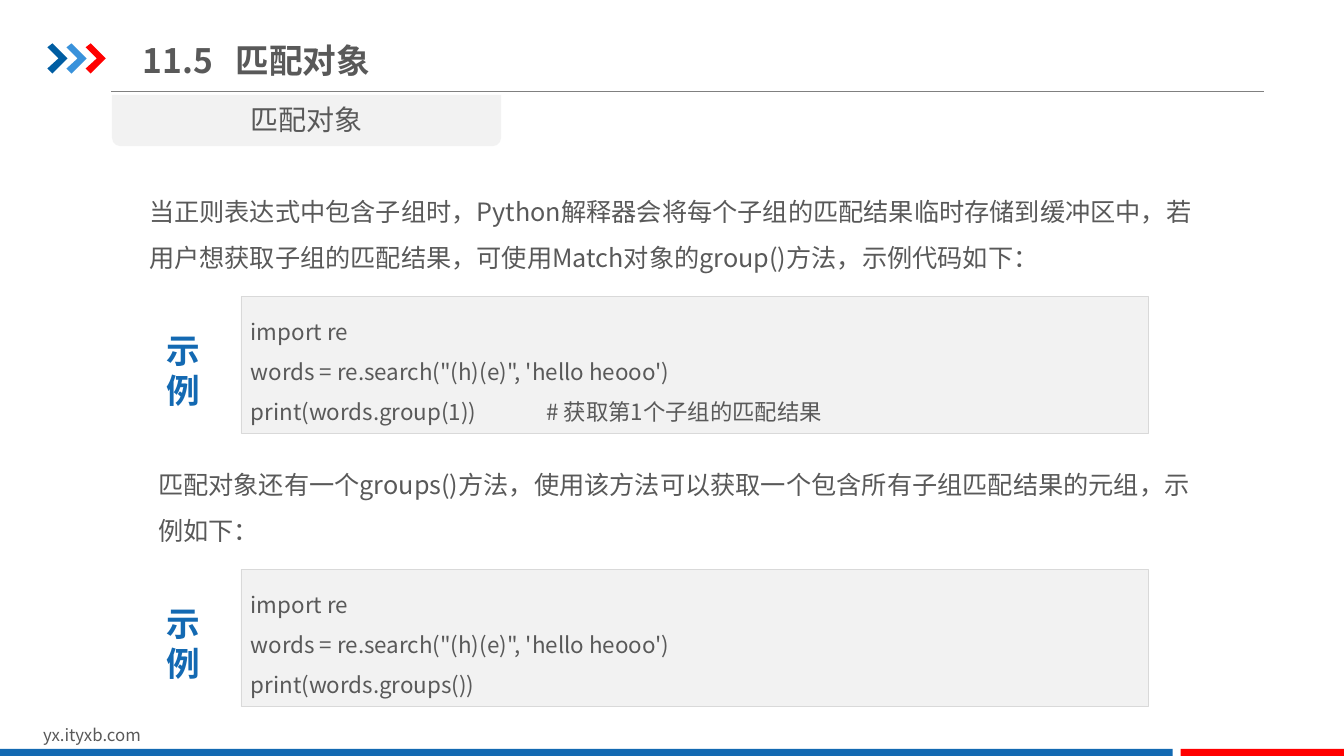
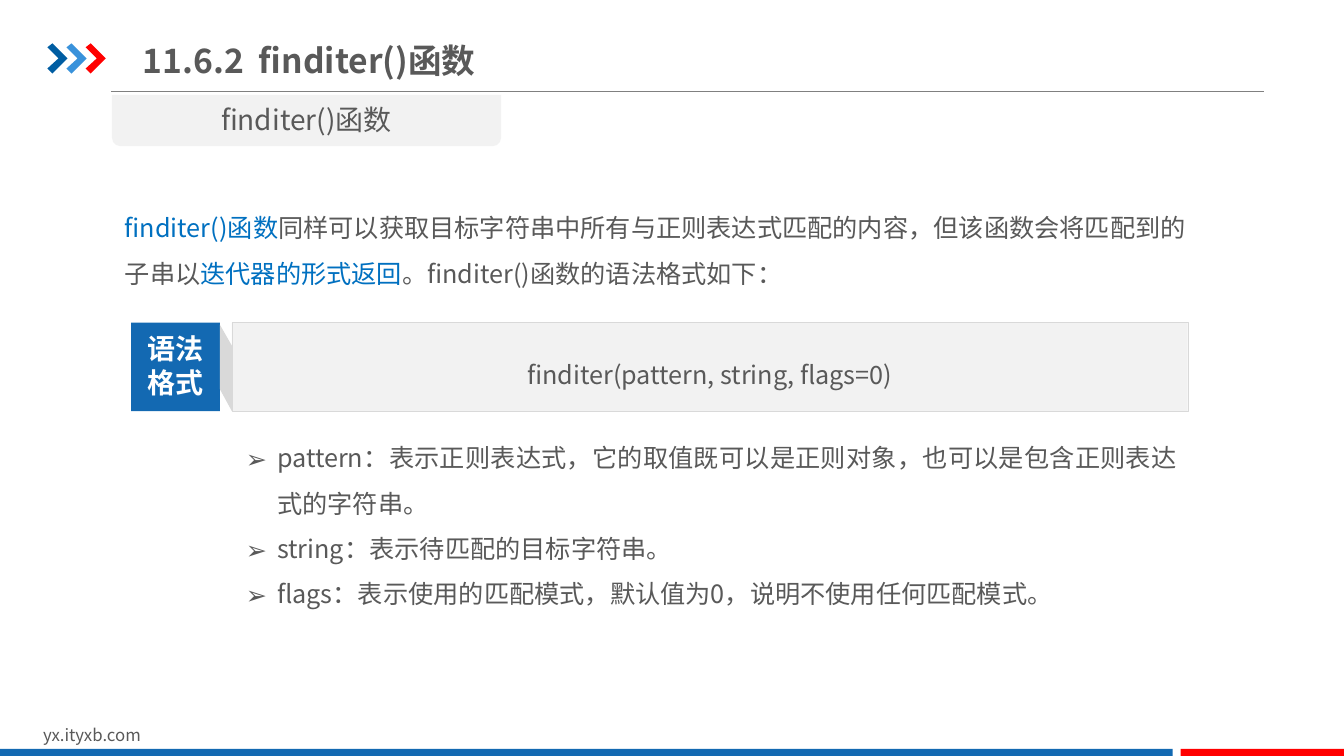
from lxml import etree
from pptx import Presentation
from pptx import util as u
from pptx.dml.color import RGBColor
from pptx.enum import shapes, text
from pptx.oxml import ns

FONT = "Noto Sans CJK SC"
BLUE = RGBColor(0x13, 0x69, 0xB2)
DARK_BLUE = RGBColor(0x00, 0x5D, 0xA2)
LIGHT_BLUE = RGBColor(0x39, 0x92, 0xDB)
ACCENT = RGBColor(0x00, 0x70, 0xC0)
RED = RGBColor(0xFF, 0x00, 0x00)
GREY = RGBColor(0x59, 0x59, 0x59)
RULE = RGBColor(0x80, 0x80, 0x80)
EDGE = RGBColor(0xD9, 0xD9, 0xD9)
PALE = RGBColor(0xF2, 0xF2, 0xF2)
WHITE = RGBColor(0xFF, 0xFF, 0xFF)

CENTER = text.PP_ALIGN.CENTER
MIDDLE = text.MSO_ANCHOR.MIDDLE
SHAPE = shapes.MSO_SHAPE


def add_element(parent, tag, **attributes):
    return etree.SubElement(parent, ns.qn(tag), attributes)


def style_para(para, size, color=GREY, bold=False, align=text.PP_ALIGN.LEFT,
               spacing=None, tab=None, bullet=None):
    para.alignment = align
    para.line_spacing = spacing
    properties = para._p.get_or_add_pPr()
    if bullet:
        indent = u.Inches(0.31)
        properties.set("marL", str(indent))
        properties.set("indent", str(-indent))
        add_element(properties, "a:buFont", typeface=FONT)
        add_element(properties, "a:buChar", char=bullet)
    if tab:
        tabs = add_element(properties, "a:tabLst")
        add_element(tabs, "a:tab", pos=str(u.Inches(tab)), algn="l")
    font = para.font
    font.size = u.Pt(size)
    font.bold = bold
    font.color.rgb = color
    font.name = FONT
    add_element(properties.find(ns.qn("a:defRPr")), "a:ea", typeface=FONT)


def write(frame, lines, size, anchor=text.MSO_ANCHOR.TOP, **style):
    frame.word_wrap = True
    frame.vertical_anchor = anchor
    for index, line in enumerate(lines):
        para = frame.add_paragraph() if index else frame.paragraphs[0]
        style_para(para, size, **style)
        spans = [(line, None)] if isinstance(line, str) else line
        for words, color in spans:
            span = para.add_run()
            span.text = words
            if color is not None:
                span.font.color.rgb = color


def add_text(page, left, top, width, height, lines, size, **style):
    box = page.shapes.add_textbox(*map(u.Inches, (left, top, width, height)))
    write(box.text_frame, lines, size, **style)
    return box


def paint(shape, fill, edge=None):
    shape.shadow.inherit = False
    shape.fill.solid()
    shape.fill.fore_color.rgb = fill
    if edge is None:
        shape.line.fill.background()
    else:
        shape.line.color.rgb = edge
        shape.line.width = u.Pt(0.25)


def add_block(page, left, top, width, height, fill, edge=None, kind=SHAPE.RECTANGLE):
    block = page.shapes.add_shape(kind, *map(u.Inches, (left, top, width, height)))
    paint(block, fill, edge)
    return block


def add_outline(page, left, top, points, fill):
    places = [(u.Inches(left + x), u.Inches(top + y)) for x, y in points]
    builder = page.shapes.build_freeform(*places[0])
    builder.add_line_segments(places[1:], close=True)
    paint(builder.convert_to_shape(), fill)


def add_header(page, number, title, title_tab):
    chevron = [(0, 0.04), (0.05, 0), (0.2, 0.15), (0.05, 0.3), (0, 0.25), (0.11, 0.15)]
    for index, color in enumerate((DARK_BLUE, LIGHT_BLUE, RED)):
        add_outline(page, 0.47 + 0.19 * index, 0.43, chevron, color)
    rule = page.shapes.add_connector(
        shapes.MSO_CONNECTOR.STRAIGHT, *map(u.Inches, (1.1, 0.91, 12.54, 0.91)))
    rule.line.color.rgb = RULE
    rule.line.width = u.Pt(0.75)
    add_element(rule._element.spPr, "a:effectLst")
    add_text(page, 1.32, 0.29, 6.34, 0.61, [f"{number}\t{title}"], 24,
             bold=True, anchor=MIDDLE, tab=title_tab)


def add_topic(page, left, top, topic):
    tag = add_block(page, left, top, 3.86, 0.51, PALE, kind=SHAPE.ROUND_2_SAME_RECTANGLE)
    tag.rotation = 180
    add_text(page, left, top + 0.03, 3.86, 0.44, [topic], 20, align=CENTER)


def add_footer(page):
    add_text(page, 0.33, 7.14, 3.18, 0.3, ["yx.ityxb.com"], 12)
    add_block(page, 0, 7.43, 11.63, 0.09, BLUE)
    add_block(page, 11.71, 7.43, 1.63, 0.09, RED)


def add_page(deck, number, title, title_tab):
    page = deck.slides.add_slide(deck.slide_layouts[6])
    add_header(page, number, title, title_tab)
    add_topic(page, 1.11, 0.94, title)
    add_footer(page)
    return page


def add_example(page, left, top, code):
    panel = add_block(page, left + 0.84, top, 9, 1.36, PALE, EDGE)
    write(panel.text_frame, code, 16, anchor=MIDDLE, spacing=1.5, tab=2.93)
    add_text(page, left, top + 0.28, 0.54, 0.91, "示例", 24,
             color=BLUE, bold=True, align=CENTER)


def add_syntax(page, left, top, code):
    side = 0.88
    panel = add_block(page, left + 1, top, 9.48, side, PALE, EDGE)
    write(panel.text_frame, [code], 18, anchor=MIDDLE, align=CENTER, spacing=1.5)
    add_block(page, left, top, side, side, BLUE)
    add_text(page, left, top + 0.04, side, 0.77, ["语法", "格式"], 20,
             color=WHITE, bold=True, align=CENTER)
    fold = [(0.12, 0.21), (0.12, 0.86), (0, 0.64), (0, 0)]
    add_outline(page, left + side, top + 0.02, fold, EDGE)


def add_parameters(page, left, top, parameters):
    box = add_text(page, left, top, 9.5, 1.95, parameters, 18,
                   align=text.PP_ALIGN.JUSTIFY, spacing=1.5, bullet="➢")
    frame = box.text_frame
    frame.margin_left = frame.margin_right = u.Inches(0.13)
    frame.margin_top = frame.margin_bottom = u.Inches(0.07)


def build_match_page(deck):
    page = add_page(deck, "11.5", "匹配对象", 0.92)
    search = ["import re", "words = re.search(\"(h)(e)\", 'hello heooo')"]
    sections = [
        (1.38, 1.75,
         "当正则表达式中包含子组时，Python解释器会将每个子组的匹配结果临时存储到缓冲区中，"
         "若用户想获取子组的匹配结果，可使用Match对象的group()方法，示例代码如下：",
         "print(words.group(1))\t# 获取第1个子组的匹配结果"),
        (1.47, 4.46,
         "匹配对象还有一个groups()方法，使用该方法可以获取一个包含所有子组匹配结果的元组，示例如下：",
         "print(words.groups())"),
    ]
    for left, top, statement, call in sections:
        add_text(page, left, top, 10.6, 1.01, [statement], 18, spacing=1.5)
        add_example(page, 1.55, top + 1.19, search + [call])


def build_finditer_page(deck):
    page = add_page(deck, "11.6.2", "finditer()函数", 1.15)
    statement = [
        ("finditer()函数", ACCENT),
        ("同样可以获取目标字符串中所有与正则表达式匹配的内容，但该函数会将匹配到的子串以", None),
        ("迭代器的形式返回", ACCENT),
        ("。finditer()函数的语法格式如下：", None),
    ]
    add_text(page, 1.14, 1.91, 10.83, 1.01, [statement], 18, spacing=1.5)
    add_syntax(page, 1.3, 3.2, "finditer(pattern, string, flags=0)")
    add_parameters(page, 2.31, 4.17, [
        "pattern：表示正则表达式，它的取值既可以是正则对象，也可以是包含正则表达式的字符串。",
        "string：表示待匹配的目标字符串。",
        "flags：表示使用的匹配模式，默认值为0，说明不使用任何匹配模式。",
    ])


def main():
    deck = Presentation()
    deck.slide_width = u.Inches(13.33)
    deck.slide_height = u.Inches(7.5)
    build_match_page(deck)
    build_finditer_page(deck)
    deck.save("out.pptx")


if __name__ == "__main__":
    main()
